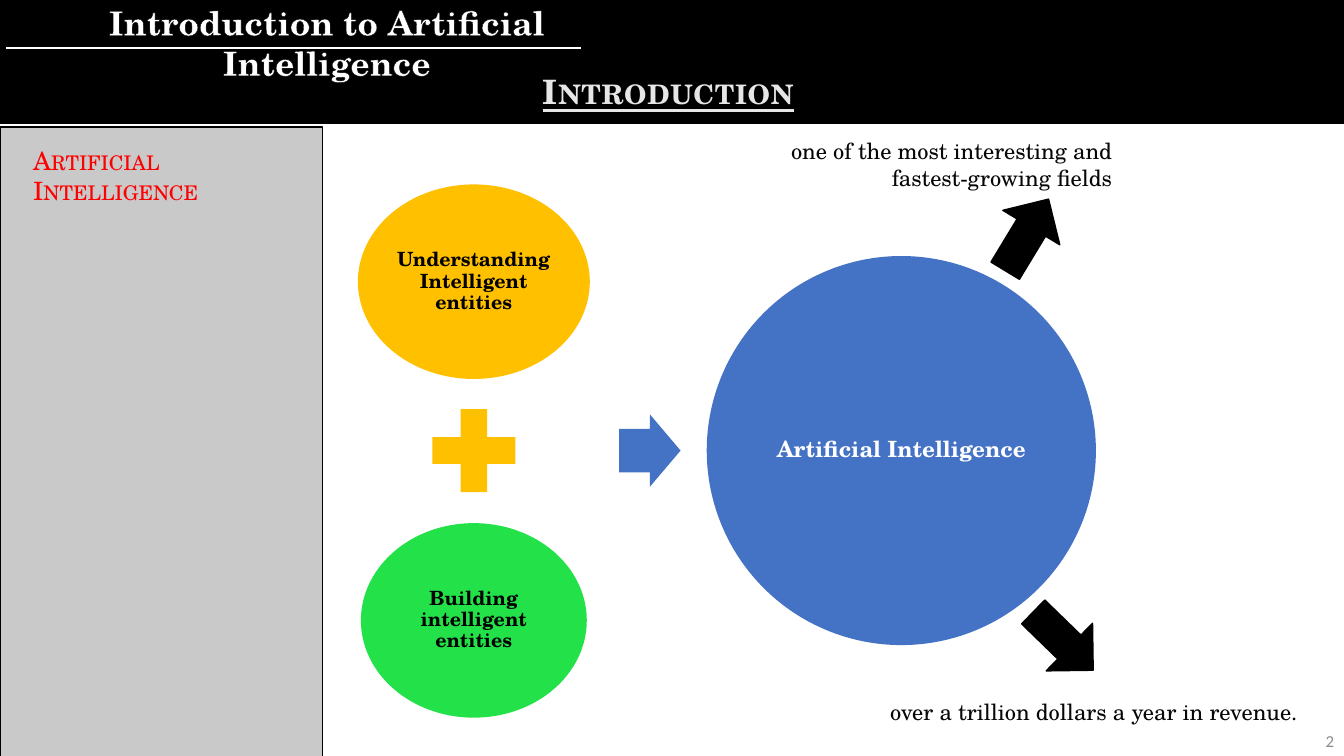
from dataclasses import dataclass

from lxml.etree import SubElement
from pptx import Presentation
from pptx.dml.color import RGBColor
from pptx.enum.shapes import MSO_CONNECTOR, MSO_SHAPE
from pptx.enum.text import MSO_ANCHOR, MSO_AUTO_SIZE, PP_ALIGN
from pptx.oxml import parse_xml
from pptx.oxml.ns import nsdecls, qn
from pptx.util import Inches, Pt


@dataclass(frozen=True)
class Theme:
    serif: str = "TeX Gyre Schola"
    sans: str = "Calibri"
    black: str = "000000"
    white: str = "FFFFFF"
    heading: str = "E7E6E6"
    panel: str = "C9C9C9"
    red: str = "FF0000"
    gold: str = "FFC000"
    green: str = "23E148"
    blue: str = "4472C4"
    body: str = "070707"
    number: str = "8C8C8C"
    heading_size: int = 24
    topic_size: int = 18
    note_size: int = 16
    circle_size: int = 14
    number_size: int = 12


THEME = Theme()


@dataclass(frozen=True)
class Figure:
    kind: MSO_SHAPE
    left: float
    top: float
    width: float
    height: float
    fill: str
    line: str | None = None
    rotation: float = 0
    adjustments: tuple[float, ...] = ()
    text: str = ""
    size: int = THEME.circle_size
    color: str = THEME.black


@dataclass(frozen=True)
class Caption:
    text: str
    left: float
    top: float
    width: float
    height: float
    size: int
    color: str
    font: str = THEME.serif
    align: PP_ALIGN = PP_ALIGN.LEFT
    anchor: MSO_ANCHOR = MSO_ANCHOR.TOP
    side_margin: float = 0.1
    bold: bool = False
    small_caps: bool = False
    outline: bool = False


BAND = Figure(MSO_SHAPE.RECTANGLE, 0, 0, 13.35, 1.22, THEME.black, THEME.black)

FIGURES = [
    Figure(MSO_SHAPE.RECTANGLE, 0, 1.26, 3.2, 6.26, THEME.panel, THEME.black),
    Figure(MSO_SHAPE.OVAL, 3.55, 1.83, 2.3, 1.93, THEME.gold,
           text="Understanding Intelligent entities"),
    Figure(MSO_SHAPE.MATH_PLUS, 4.14, 3.91, 1.12, 1.12, THEME.gold),
    Figure(MSO_SHAPE.OVAL, 3.58, 5.19, 2.24, 1.93, THEME.green,
           text="Building intelligent entities"),
    Figure(MSO_SHAPE.RIGHT_ARROW, 6.14, 4.11, 0.61, 0.72, THEME.blue, adjustments=(0.6, 0.5)),
    Figure(MSO_SHAPE.OVAL, 7.01, 2.54, 3.86, 3.86, THEME.blue,
           text="Artificial Intelligence", size=THEME.note_size, color=THEME.white),
    Figure(MSO_SHAPE.RIGHT_ARROW, 9.77, 2, 0.83, 0.66, THEME.black, THEME.black, 301.2),
    Figure(MSO_SHAPE.RIGHT_ARROW, 10.13, 6.03, 0.83, 0.66, THEME.black, THEME.black, 44.2),
]

CAPTIONS = [
    Caption("Introduction to Artificial Intelligence", -0.08, -0.03, 6.64, 0.5,
            THEME.heading_size, THEME.white, align=PP_ALIGN.CENTER, side_margin=0.3,
            bold=True, outline=True),
    Caption("Artificial Intelligence", 0.23, 1.39, 2.97, 0.4, THEME.topic_size, THEME.red,
            small_caps=True),
    Caption("over a trillion dollars a year in revenue.", 8.73, 6.88, 4.68, 0.37,
            THEME.note_size, THEME.body),
    Caption("one of the most interesting and fastest-growing fields", 7.6, 1.31, 3.53, 0.64,
            THEME.note_size, THEME.body, align=PP_ALIGN.RIGHT),
    Caption("2", 10.33, 7.15, 3, 0.4, THEME.number_size, THEME.number, font=THEME.sans,
            align=PP_ALIGN.RIGHT, anchor=MSO_ANCHOR.MIDDLE),
]


def write_text(shape, text: str, *, size: int, color: str, font: str = THEME.serif,
               align: PP_ALIGN = PP_ALIGN.LEFT, anchor: MSO_ANCHOR = MSO_ANCHOR.TOP,
               side_margin: float = 0.1, end_margin: float = 0.05, line_spacing: float = 1.0,
               bold: bool = False, underline: bool = False, small_caps: bool = False,
               tracking: float = 0, outline: bool = False) -> None:
    frame = shape.text_frame
    frame.word_wrap = True
    frame.auto_size = MSO_AUTO_SIZE.NONE
    frame.vertical_anchor = anchor
    frame.margin_left = frame.margin_right = Inches(side_margin)
    frame.margin_top = frame.margin_bottom = Inches(end_margin)
    para = frame.paragraphs[0]
    para.alignment = align
    para.line_spacing = line_spacing
    span = para.add_run()
    span.text = text
    span.font.name = font
    span.font.size = Pt(size)
    span.font.bold = bold
    span.font.underline = underline
    span.font.color.rgb = RGBColor.from_string(color)
    properties = span._r.get_or_add_rPr()
    if small_caps:
        properties.set("cap", "small")
    if tracking:
        properties.set("spc", str(round(tracking * 100)))
    if outline:
        properties.insert(0, parse_xml(
            f'<a:ln {nsdecls("a")} w="{Pt(1)}"><a:solidFill>'
            f'<a:srgbClr val="{THEME.black}"/></a:solidFill></a:ln>'))


def draw_figure(page, figure: Figure):
    shape = page.shapes.add_shape(
        figure.kind, Inches(figure.left), Inches(figure.top),
        Inches(figure.width), Inches(figure.height))
    shape.shadow.inherit = False
    shape.rotation = figure.rotation
    for index, value in enumerate(figure.adjustments):
        shape.adjustments[index] = value
    shape.fill.solid()
    shape.fill.fore_color.rgb = RGBColor.from_string(figure.fill)
    if figure.line:
        shape.line.color.rgb = RGBColor.from_string(figure.line)
        shape.line.width = Pt(1)
    else:
        shape.line.fill.background()
    if figure.text:
        write_text(shape, figure.text, size=figure.size, color=figure.color, bold=True,
                   align=PP_ALIGN.CENTER, anchor=MSO_ANCHOR.MIDDLE,
                   side_margin=0.02, end_margin=0.02, line_spacing=0.9)
    return shape


def draw_caption(page, caption: Caption) -> None:
    box = page.shapes.add_textbox(
        Inches(caption.left), Inches(caption.top),
        Inches(caption.width), Inches(caption.height))
    write_text(box, caption.text, size=caption.size, color=caption.color, font=caption.font,
               align=caption.align, anchor=caption.anchor, side_margin=caption.side_margin,
               bold=caption.bold, small_caps=caption.small_caps, outline=caption.outline)


def draw_header(page) -> None:
    title = page.shapes.title
    title.left, title.top = Inches(0.01), Inches(0.65)
    title.width, title.height = Inches(13.32), Inches(0.5)
    write_text(title, "Introduction", size=THEME.heading_size, color=THEME.heading,
               align=PP_ALIGN.CENTER, bold=True, underline=True, small_caps=True, tracking=0.5)
    # The band sits behind the title
    title.element.addprevious(draw_figure(page, BAND).element)

    rule = page.shapes.add_connector(
        MSO_CONNECTOR.STRAIGHT, Inches(0.06), Inches(0.48), Inches(5.76), Inches(0.48))
    rule.line.color.rgb = RGBColor.from_string(THEME.white)
    rule.line.width = Pt(1.5)
    SubElement(rule.element.spPr, qn("a:effectLst"))


def main() -> None:
    deck = Presentation()
    deck.slide_width, deck.slide_height = Inches(13.33), Inches(7.5)
    page = deck.slides.add_slide(deck.slide_layouts.get_by_name("Title Only"))

    # Header band, title and rule
    draw_header(page)

    # Side panel and diagram
    for figure in FIGURES:
        draw_figure(page, figure)

    # Captions and page number
    for caption in CAPTIONS:
        draw_caption(page, caption)

    deck.save("out.pptx")


if __name__ == "__main__":
    main()
